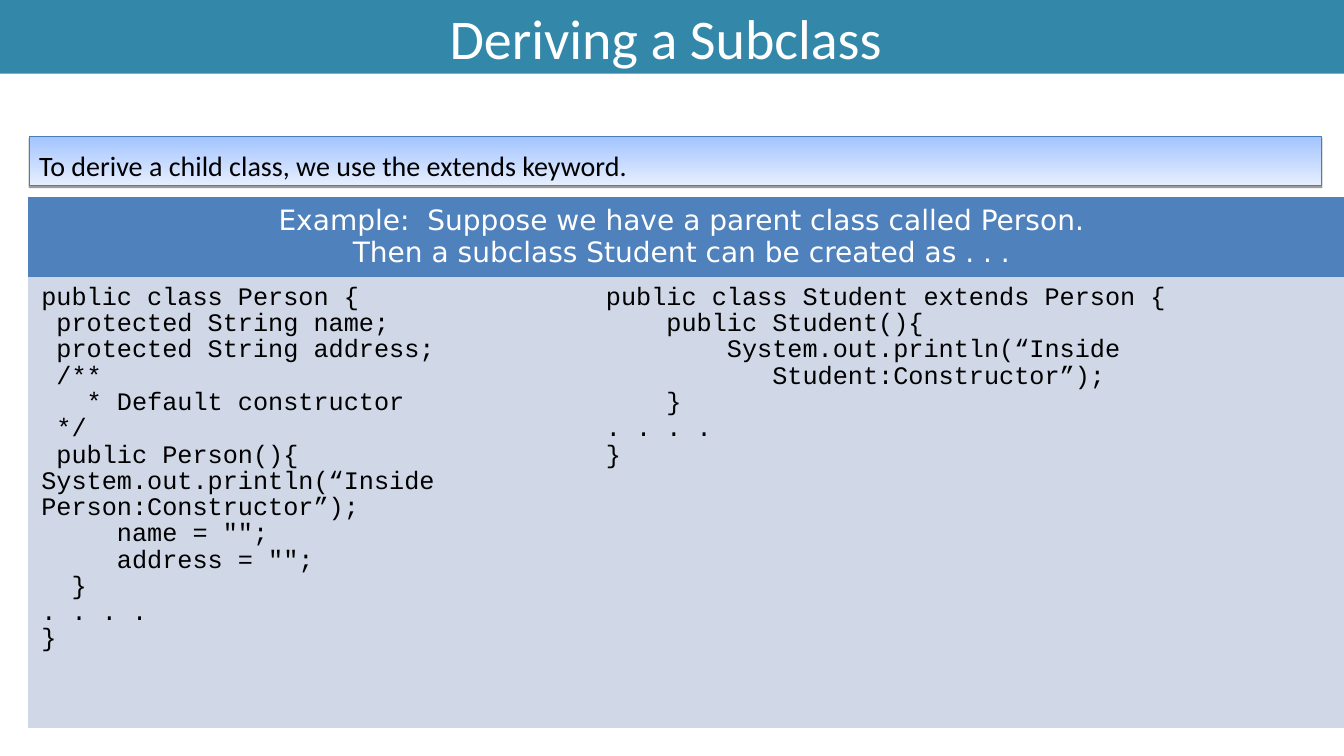
from dataclasses import dataclass
from typing import NamedTuple

from lxml import etree
from pptx import Presentation
from pptx.dml.color import RGBColor
from pptx.enum.shapes import MSO_SHAPE
from pptx.enum.text import MSO_ANCHOR, MSO_AUTO_SIZE, PP_ALIGN
from pptx.oxml.ns import qn
from pptx.util import Inches, Pt

RECT = MSO_SHAPE.RECTANGLE
MIDDLE, TOP = MSO_ANCHOR.MIDDLE, MSO_ANCHOR.TOP
LEFT, CENTER = PP_ALIGN.LEFT, PP_ALIGN.CENTER
FIXED = MSO_AUTO_SIZE.NONE
UNIT = Inches(0.01)
COLS, ROWS = 1333, 750
PLAIN = "{2D5ABB26-0587-4C30-8999-92F81FD0307C}"


class Box(NamedTuple):
    left: int
    top: int
    width: int
    height: int

    def place(self):
        return [side * UNIT for side in self]


class Font(NamedTuple):
    name: str
    size: int
    color: str


@dataclass(frozen=True)
class Theme:
    title: Font = Font("Calibri", 40, "FFFFFF")
    note: Font = Font("Calibri", 20, "000000")
    head: Font = Font("DejaVu Sans", 20, "FFFFFF")
    code: Font = Font("Courier New", 18, "000000")
    bar: str = "3388A9"
    pale: str = "E5EEFF"
    sky: str = "A3C4FF"
    edge: str = "4A7EBB"
    band: str = "4F81BD"
    body: str = "D0D8E8"
    shade: str = "000000"


THEME = Theme()

TITLE = "Deriving a Subclass "
NOTE = "To derive a child class, we use the extends keyword."
HEAD = """Example:  Suppose we have a parent class called Person. 
Then a subclass Student can be created as . . . """
PERSON = """public class Person {
 protected String name;
 protected String address;
 /**
   * Default constructor
 */
 public Person(){
System.out.println(“Inside Person:Constructor”);
     name = "";
     address = "";
  }
. . . .
}"""
STUDENT = """public class Student extends Person {
    public Student(){
        System.out.println(“Inside
           Student:Constructor”);
    }
. . . .
}"""


def paint(fill, color):
    fill.solid()
    fill.fore_color.rgb = RGBColor.from_string(color)


def write(frame, text, font, align, first, rest):
    frame.text = text
    for i, para in enumerate(frame.paragraphs):
        para.alignment = align
        para.line_spacing = rest if i else first
        for run in para.runs:
            run.font.name = font.name
            run.font.size = Pt(font.size)
            run.font.bold = False
            run.font.color.rgb = RGBColor.from_string(font.color)


def inset(part, sides):
    part.margin_left, part.margin_top, part.margin_right, part.margin_bottom = (
        side * UNIT for side in sides)


def add_title(slide, box):
    title = slide.shapes.title
    title.left, title.top, title.width, title.height = box.place()
    paint(title.fill, THEME.bar)
    frame = title.text_frame
    frame.auto_size = FIXED
    frame.vertical_anchor = MIDDLE
    inset(frame, (10, 5, 10, 5))
    write(frame, TITLE, THEME.title, CENTER, 1.0, 1.0)


def add_shade(shape):
    shape.shadow.inherit = False
    effects = shape.element.spPr.find(qn("a:effectLst"))
    outer = etree.SubElement(effects, qn("a:outerShdw"), blurRad="0",
                             dist=str(Pt(1.6)), dir="5400000", rotWithShape="0")
    color = etree.SubElement(outer, qn("a:srgbClr"), val=THEME.shade)
    etree.SubElement(color, qn("a:alpha"), val="38000")


def add_note(slide, box):
    note = slide.shapes.add_shape(RECT, *box.place())
    note.fill.gradient()
    note.fill.gradient_angle = 90
    for stop, color, spot in zip(note.fill.gradient_stops,
                                 (THEME.pale, THEME.sky), (0, 1)):
        stop.color.rgb = RGBColor.from_string(color)
        stop.position = spot
    note.line.color.rgb = RGBColor.from_string(THEME.edge)
    note.line.width = Pt(0.75)
    add_shade(note)
    frame = note.text_frame
    frame.word_wrap = True
    frame.vertical_anchor = MIDDLE
    inset(frame, (10, 10, 10, 10))
    write(frame, NOTE, THEME.note, LEFT, Pt(29.8), Pt(29.8))


def fill_cell(cell, text, font, color, anchor, align, top, first, rest):
    paint(cell.fill, color)
    cell.vertical_anchor = anchor
    inset(cell, (13, top, 13, 5))
    write(cell.text_frame, text, font, align, first, rest)


def add_code(slide, box, split, head):
    table = slide.shapes.add_table(2, 2, *box.place()).table
    table._tbl.tblPr.find(qn("a:tableStyleId")).text = PLAIN
    for col, width in zip(table.columns, (split, box.width - split)):
        col.width = width * UNIT
    for row, height in zip(table.rows, (head, box.height - head)):
        row.height = height * UNIT
    table.cell(0, 0).merge(table.cell(0, 1))
    fill_cell(table.cell(0, 0), HEAD, THEME.head, THEME.band,
              MIDDLE, CENTER, 6, 0.96, 0.98)
    for i, text in enumerate((PERSON, STUDENT)):
        fill_cell(table.cell(1, i), text, THEME.code, THEME.body,
                  TOP, LEFT, 8, 0.89, 0.92)


def main():
    deck = Presentation()
    deck.slide_width, deck.slide_height = COLS * UNIT, ROWS * UNIT
    slide = deck.slides.add_slide(deck.slide_layouts[5])
    add_title(slide, Box(0, 0, COLS, 73))
    add_note(slide, Box(29, 135, 1282, 49))
    add_code(slide, Box(28, 195, COLS - 28, 527), 560, 80)
    deck.save("out.pptx")


if __name__ == "__main__":
    main()
